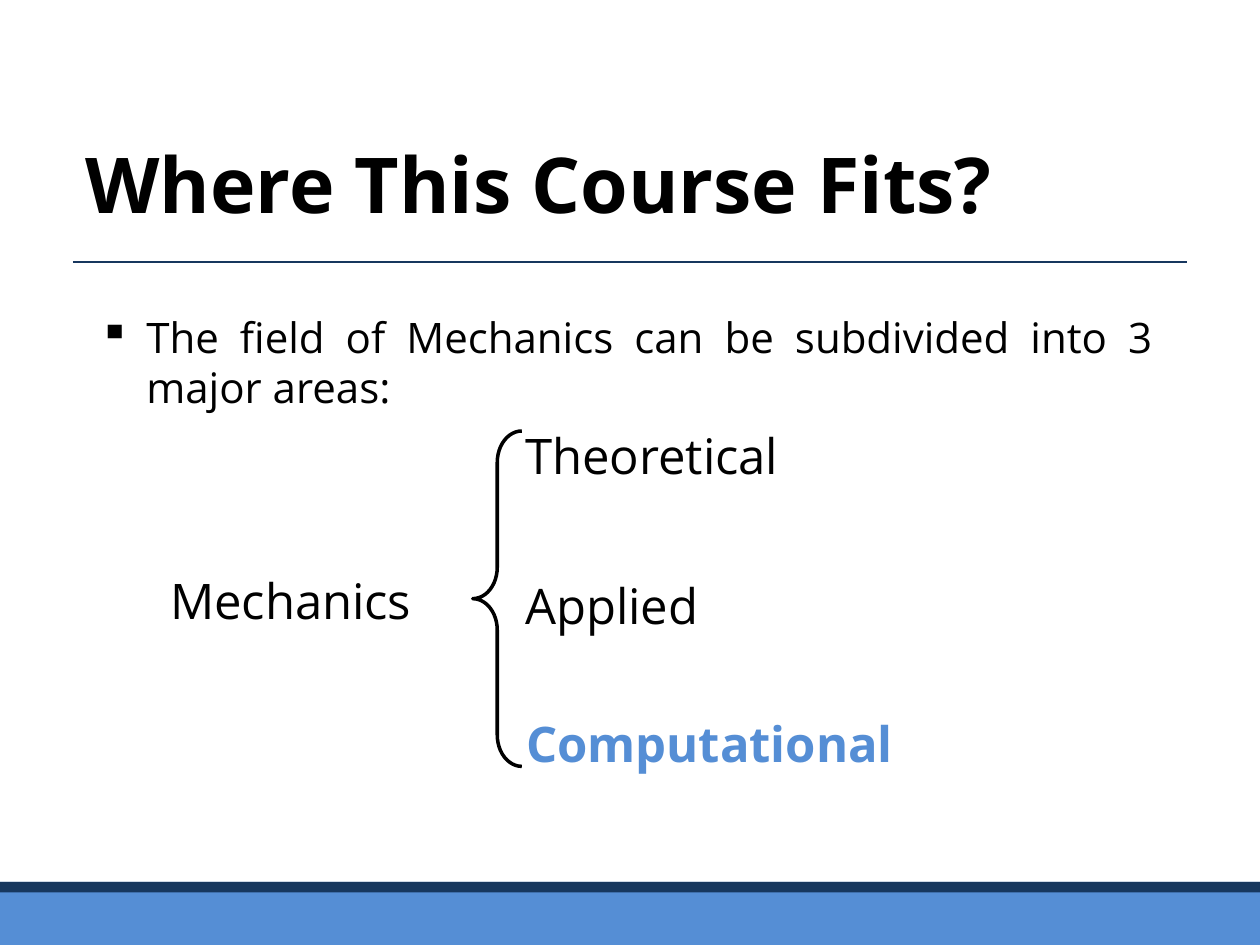
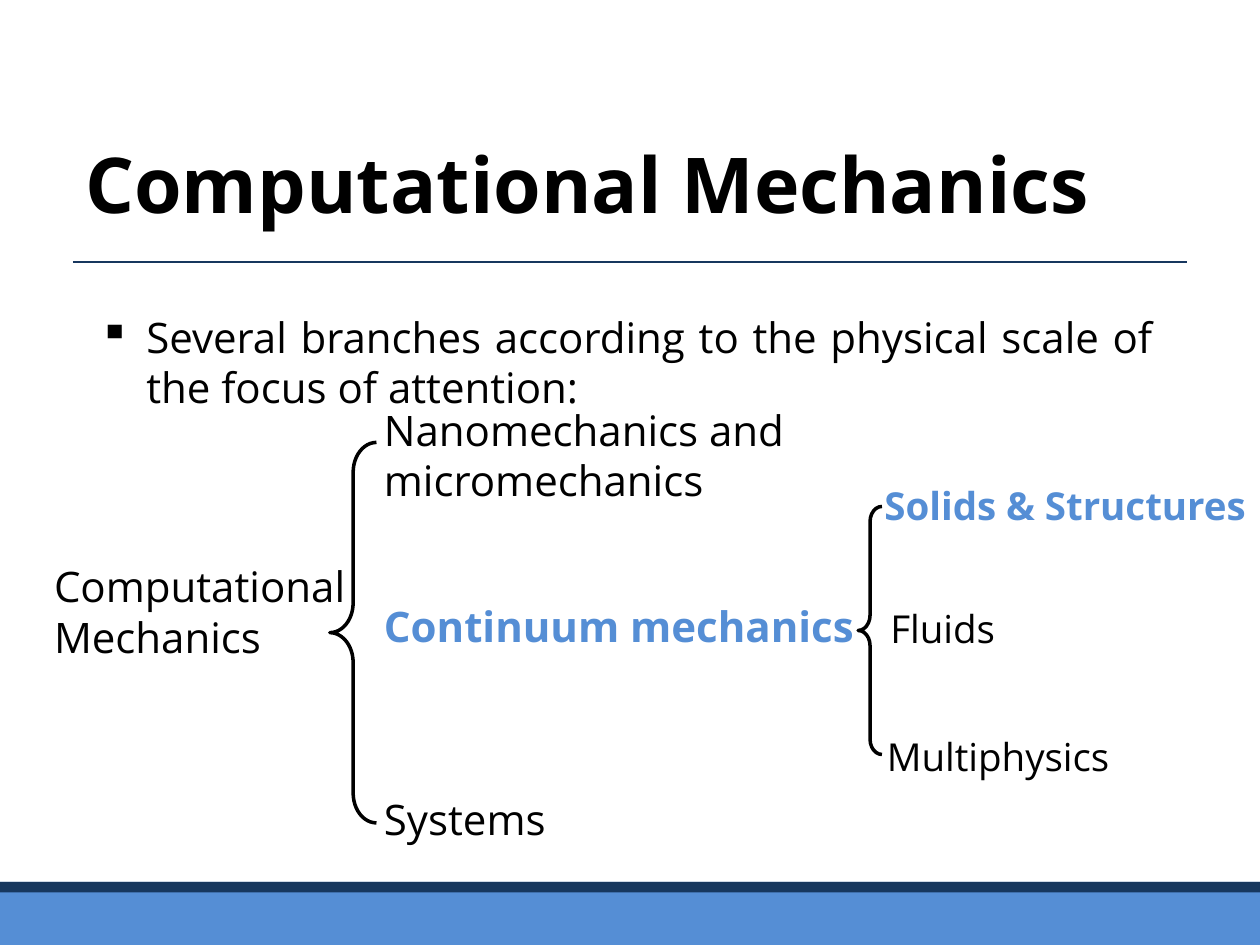
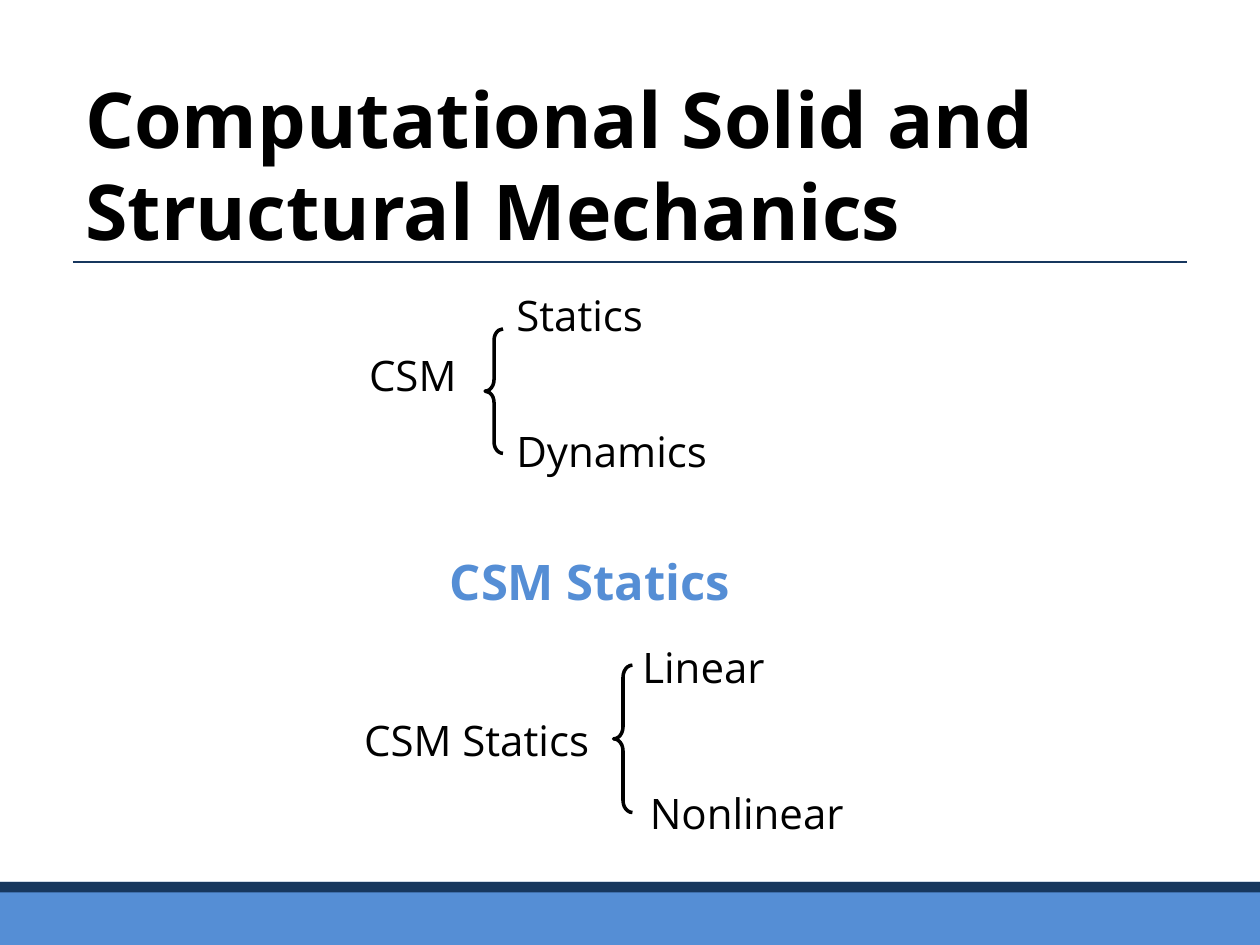
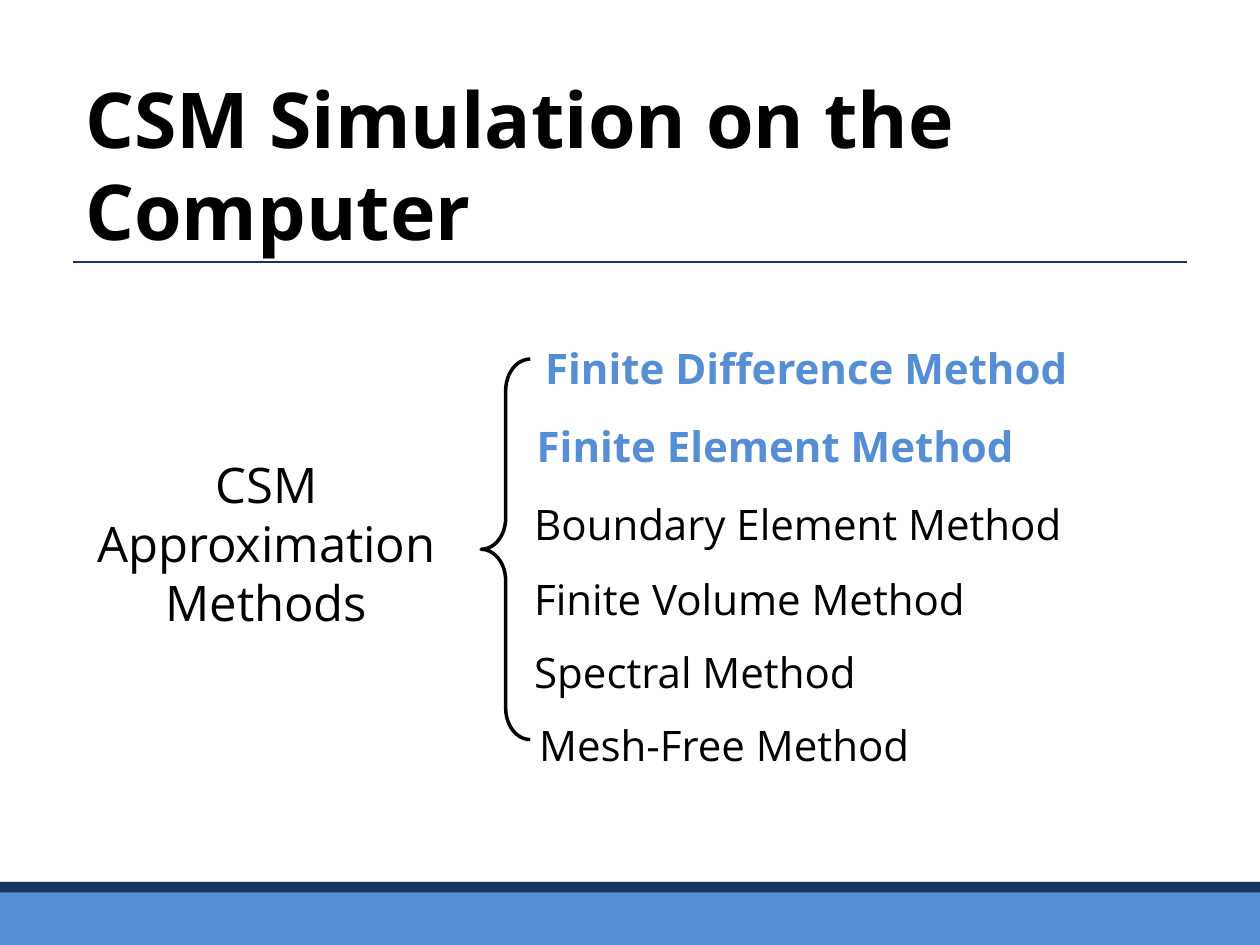
from dataclasses import dataclass
from typing import Any

from lxml import etree
from pptx import Presentation
from pptx import util as u
from pptx.dml.color import RGBColor
from pptx.enum import shapes, text
from pptx.oxml import ns

COLORS = {"ink": "000000", "accent": "558ED5", "navy": "17375E", "paper": "FFFFFF"}
FONT = "Open Sans"
WIDTH, HEIGHT = 25.4, 19.05
MARGIN, RULE_Y, FOOTER_Y = 1.47, 5.28, 17.78
TITLE_HEIGHT, TITLE_LINE = 3.18, 1.86
BULLET_INDENT = 0.95
INSET, LINE_CM_PER_PT = 0.25, 0.0423


@dataclass(frozen=True)
class Label:
    """A term placed beside a brace, measured in centimetres."""

    wording: str
    left: float
    top: float
    width: float
    size: float = 24
    lines: int = 1
    key: bool = False
    centred: bool = False


@dataclass(frozen=True)
class Brace:
    """A left brace, measured in centimetres."""

    left: float
    top: float
    width: float
    height: float
    fill: str | None = None


@dataclass(frozen=True)
class Branching:
    """A brace with the terms that it joins."""

    brace: Brace
    labels: tuple[Label, ...]
    grouped: bool = True


@dataclass(frozen=True)
class Page:
    """The content of one slide."""

    title: str
    branchings: tuple[Branching, ...]
    statement: str = ""
    statement_height: float = 0
    title_lines: int = 1


def rgb(name: str) -> RGBColor:
    """Look up a named colour."""
    return RGBColor.from_string(COLORS[name])


def add_text(parent: Any, wording: str, left: float, top: float, width: float,
             height: float, *, size: float = 24, color: str = "ink",
             bold: bool = False, align: Any = None,
             anchor: Any = text.MSO_ANCHOR.TOP, grow: bool = False,
             bullet: str = "") -> None:
    """Write one wrapped paragraph in a text box."""
    frame = parent.add_textbox(u.Cm(left), u.Cm(top), u.Cm(width), u.Cm(height)).text_frame
    frame.word_wrap = True
    frame.vertical_anchor = anchor
    if grow:
        frame.auto_size = text.MSO_AUTO_SIZE.SHAPE_TO_FIT_TEXT
    paragraph = frame.paragraphs[0]
    paragraph.alignment = align
    run = paragraph.add_run()
    run.text = wording
    run.font.name = FONT
    run.font.size = u.Pt(size)
    run.font.bold = bold
    run.font.color.rgb = rgb(color)
    if bullet:
        properties = paragraph._p.get_or_add_pPr()
        properties.set("marL", str(u.Cm(BULLET_INDENT)))
        properties.set("indent", str(-u.Cm(BULLET_INDENT)))
        etree.SubElement(properties, ns.qn("a:buChar")).set("char", bullet)


def add_title(parent: Any, page: Page) -> None:
    """Write the title so that all its lines end above the rule."""
    height = max(TITLE_HEIGHT, page.title_lines * TITLE_LINE + INSET)
    add_text(parent, page.title, MARGIN, RULE_Y - height, 22.86, height, size=44, bold=True,
             anchor=text.MSO_ANCHOR.MIDDLE)


def add_band(parent: Any, top: float, height: float, color: str) -> None:
    """Draw a full-width footer band."""
    band = parent.add_shape(shapes.MSO_SHAPE.RECTANGLE, 0, u.Cm(top), u.Cm(WIDTH), u.Cm(height))
    band.shadow.inherit = False
    band.fill.solid()
    band.fill.fore_color.rgb = rgb(color)
    band.line.fill.background()


def add_rule(parent: Any) -> None:
    """Draw the line under the title."""
    rule = parent.add_connector(shapes.MSO_CONNECTOR.STRAIGHT, u.Cm(MARGIN), u.Cm(RULE_Y),
                                u.Cm(WIDTH - MARGIN), u.Cm(RULE_Y))
    rule.line.color.rgb = rgb("navy")
    rule.line.width = u.Pt(0.75)
    etree.SubElement(rule._element.spPr, ns.qn("a:effectLst"))


def add_brace(parent: Any, brace: Brace) -> None:
    """Draw a left brace."""
    outline = parent.add_shape(shapes.MSO_SHAPE.LEFT_BRACE, u.Cm(brace.left), u.Cm(brace.top),
                               u.Cm(brace.width), u.Cm(brace.height))
    outline.shadow.inherit = False
    outline.adjustments[0] = 0.64
    outline.adjustments[1] = 0.5
    if brace.fill:
        outline.fill.solid()
        outline.fill.fore_color.rgb = rgb(brace.fill)
    else:
        outline.fill.background()
    outline.line.color.rgb = rgb("ink")
    outline.line.width = u.Pt(2)


def add_branching(parent: Any, branching: Branching) -> None:
    """Draw a brace and its terms, grouped where asked."""
    target = parent.add_group_shape().shapes if branching.grouped else parent
    add_brace(target, branching.brace)
    for label in branching.labels:
        add_text(target, label.wording, label.left, label.top, label.width,
                 label.lines * label.size * LINE_CM_PER_PT + INSET,
                 size=label.size, color="accent" if label.key else "ink", bold=label.key,
                 align=text.PP_ALIGN.CENTER if label.centred else None, grow=True)


def add_page(deck: Any, page: Page) -> None:
    """Build one slide."""
    parent = deck.slides.add_slide(deck.slide_layouts[6]).shapes
    add_title(parent, page)
    if page.statement:
        add_text(parent, page.statement, 1.75, 6.15, 21.74, page.statement_height,
                 align=text.PP_ALIGN.JUSTIFY, bullet="▪")
    add_rule(parent)
    add_band(parent, FOOTER_Y, 1.48, "accent")
    add_band(parent, FOOTER_Y, 0.21, "navy")
    for branching in page.branchings:
        add_branching(parent, branching)


PAGES = (
    Page("Where This Course Fits?", (
        Branching(Brace(9.53, 8.69, 0.99, 6.76), (
            Label("Mechanics", 3.18, 11.38, 6.3, 28),
            Label("Theoretical", 10.34, 8.46, 6.78, 28),
            Label("Applied", 10.34, 11.48, 5, 28),
            Label("Computational", 10.36, 14.25, 8.76, 28, key=True),
        )),
    ), "The field of Mechanics can be subdivided into 3 major areas:", 3.38),
    Page("Computational Mechanics", (
        Branching(Brace(6.65, 8.92, 0.94, 7.67), (
            Label("Computational Mechanics", 0.84, 11.18, 7.92, lines=2),
            Label("Nanomechanics and micromechanics", 7.49, 8.03, 9.12, lines=2),
            Label("Continuum mechanics", 7.49, 11.99, 10.16, key=True),
            Label("Systems", 7.49, 15.88, 4.55),
        )),
        Branching(Brace(17.3, 10.21, 0.48, 5, "paper"), (
            Label("Solids & Structures", 17.58, 9.6, 7.82, 22, key=True),
            Label("Fluids", 17.7, 12.07, 2.67, 22),
            Label("Multiphysics", 17.63, 14.66, 5.61, 22),
        )),
    ), "Several branches according to the physical scale of the focus of attention:", 2.74),
    Page("Computational Solid and Structural Mechanics", (
        Branching(Brace(9.78, 6.63, 0.36, 2.51), (
            Label("CSM", 7.19, 6.93, 2.84),
            Label("Statics", 10.16, 5.72, 3.48),
            Label("Dynamics", 10.16, 8.46, 4.8),
        )),
        Branching(Brace(12.37, 13.41, 0.38, 2.97), (
            Label("CSM Statics", 4.39, 11, 15.01, 28, key=True, centred=True),
            Label("CSM Statics", 7.09, 14.27, 5.26),
            Label("Linear", 12.7, 12.8, 3.48),
            Label("Nonlinear", 12.85, 15.75, 4.8),
        )),
    ), title_lines=2),
    Page("CSM Simulation on the Computer", (
        Branching(Brace(9.7, 7.24, 0.99, 7.67), (
            Label("CSM Approximation Methods", 0.91, 9.04, 8.92, 28, lines=3, centred=True),
            Label("Finite Difference Method", 10.74, 6.78, 14.38, key=True),
            Label("Finite Element Method", 10.57, 8.36, 14.76, key=True),
            Label("Boundary Element Method", 10.52, 9.93, 13.41),
            Label("Finite Volume Method", 10.52, 11.43, 12.01),
            Label("Spectral Method", 10.52, 12.9, 12.01),
            Label("Mesh-Free Method", 10.62, 14.38, 12.01),
        ), grouped=False),
    ), title_lines=2),
)


def main() -> None:
    """Build and save the deck."""
    deck = Presentation()
    deck.slide_width, deck.slide_height = u.Cm(WIDTH), u.Cm(HEIGHT)
    for page in PAGES:
        add_page(deck, page)
    deck.save("out.pptx")


main()
